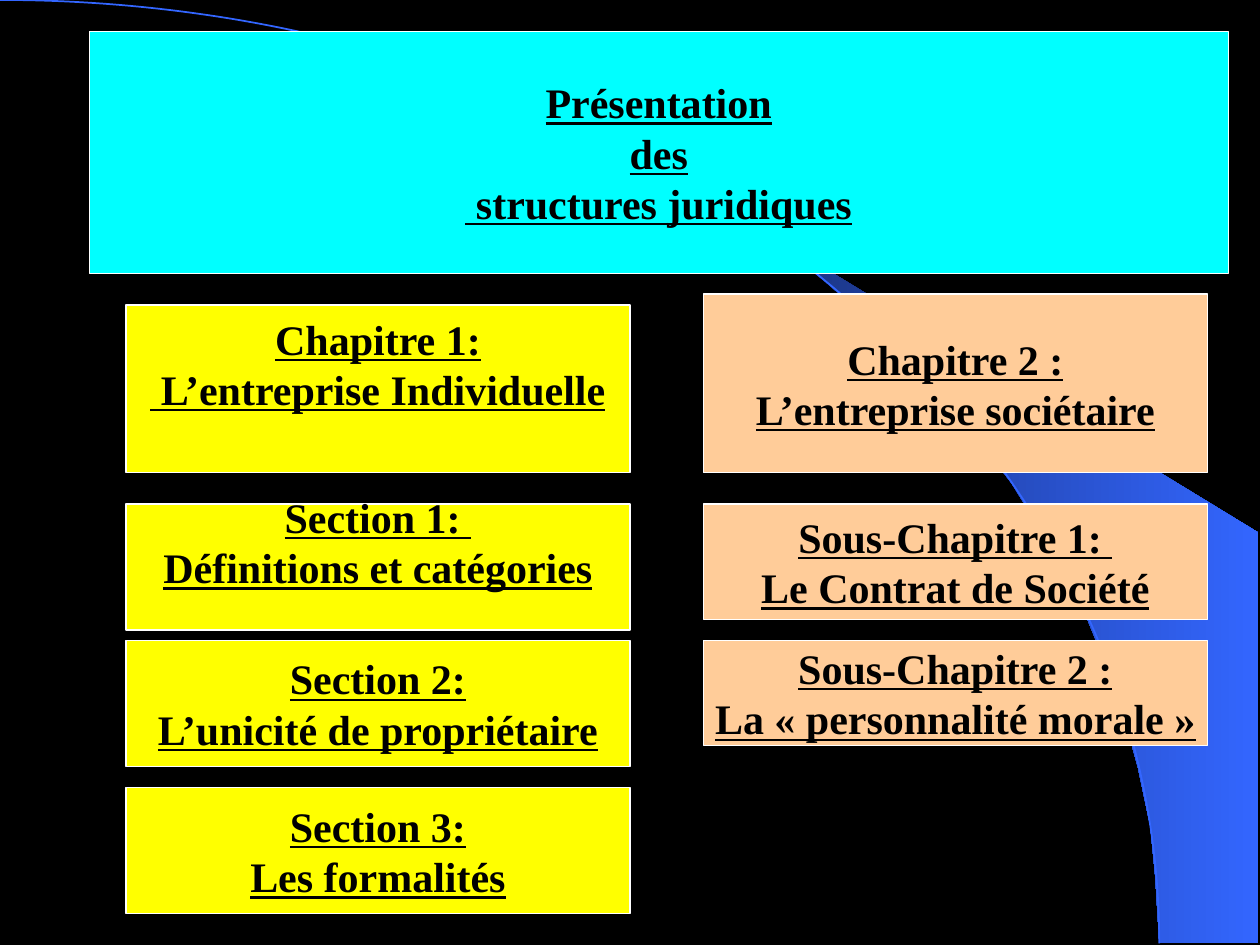
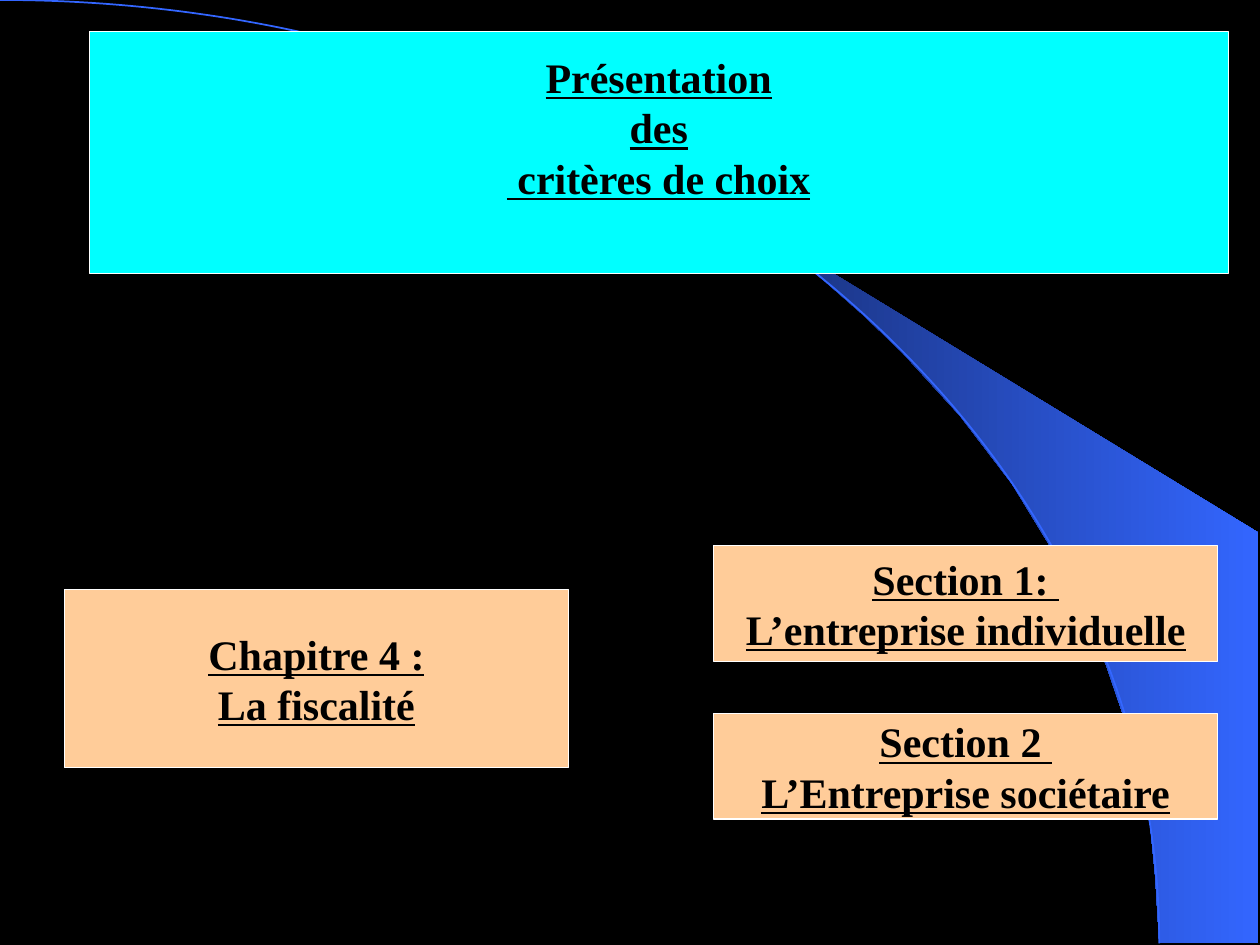
"""Build two slides that outline legal structures and the criteria for choosing one."""
import lxml.etree
import pptx
import pptx.dml.color
import pptx.enum.shapes
import pptx.enum.text
import pptx.oxml.ns
import pptx.util

Cm = pptx.util.Cm
Pt = pptx.util.Pt

COLOURS = {
    "night": "000000",
    "text": "000000",
    "border": "FFFFFF",
    "title": "00FFFF",
    "individual": "FFFF00",
    "company": "FFCC99",
    "deep blue": "182F76",
    "blue": "3366FF",
}
FONT = {"name": "Times New Roman", "size": Pt(24), "bold": True, "underline": True}
FRAME = {
    "auto_size": pptx.enum.text.MSO_AUTO_SIZE.NONE,
    "word_wrap": False,
    "vertical_anchor": pptx.enum.text.MSO_ANCHOR.MIDDLE,
    "margin_left": Cm(0.25),
    "margin_right": Cm(0.25),
    "margin_top": Cm(0.13),
    "margin_bottom": Cm(0.13),
}
ARC_WIDTH, ARC_HEIGHT = 23.37, 19.02
ARC_CONTROLS = [(12.9, 0), (ARC_WIDTH, 8.51), (ARC_WIDTH, ARC_HEIGHT)]
WEDGE = [
    (23.37, 19.0), (25.37, 19.02), (25.37, 10.74), (14.96, 4.39), (15.85, 5.05),
    (16.59, 5.64), (17.4, 6.35), (18.19, 7.11), (19.35, 8.38), (20.4, 9.75),
    (21.13, 10.95), (21.79, 12.17), (22.3, 13.41), (22.68, 14.53), (22.94, 15.47),
    (23.19, 16.66), (23.29, 17.68),
]
BOX_WIDTH = 10.16
LINE_HEIGHT = 1.02


def colour(name):
    """Return the named palette colour."""
    return pptx.dml.color.RGBColor.from_string(COLOURS[name])


class Outline:
    """Hold the shared style and the current slide."""

    def __init__(self):
        """Start a deck with a dark layout."""
        self.deck = pptx.Presentation()
        self.deck.slide_width, self.deck.slide_height = Cm(25.4), Cm(19.05)
        self.layout = self.deck.slide_layouts[5]
        self.layout.background.fill.solid()
        self.layout.background.fill.fore_color.rgb = colour("night")
        for holder in list(self.layout.placeholders)[1:]:
            self.layout.shapes.element.remove(holder.element)
        self.page = None

    def add_page(self, lines, lift=0):
        """Add a slide with its title band."""
        self.page = self.deck.slides.add_slide(self.layout)
        title = self.page.shapes.title
        title.left, title.top, title.width, title.height = Cm(1.8), Cm(0.63), Cm(22.96), Cm(4.88)
        self.dress(title, "title", lines, lift)

    def add_box(self, left, top, height, fill, lines, lift=0):
        """Add a filled rectangle with centred text."""
        box = self.page.shapes.add_shape(
            pptx.enum.shapes.MSO_SHAPE.RECTANGLE, Cm(left), Cm(top), Cm(BOX_WIDTH), Cm(height)
        )
        self.dress(box, fill, lines, lift)

    def dress(self, box, fill, lines, lift):
        """Fill, outline and label a box, raising its text by half of lift."""
        box.shadow.inherit = False
        box.fill.solid()
        box.fill.fore_color.rgb = colour(fill)
        box.line.color.rgb = colour("border")
        box.line.width = Pt(0.75)
        frame = box.text_frame
        for key, value in FRAME.items():
            setattr(frame, key, value)
        frame.margin_bottom += Cm(lift)
        for index, line in enumerate(lines):
            para = frame.add_paragraph() if index else frame.paragraphs[0]
            para.alignment = pptx.enum.text.PP_ALIGN.CENTER
            span = para.add_run()
            span.text = line
            for key, value in FONT.items():
                setattr(span.font, key, value)
            span.font.color.rgb = colour("text")

    def add_outline(self, points, close):
        """Add a freeform through points given in centimetres."""
        start, *rest = [(Cm(x), Cm(y)) for x, y in points]
        builder = self.page.shapes.build_freeform(*start)
        builder.add_line_segments(rest, close=close)
        shape = builder.convert_to_shape()
        shape.shadow.inherit = False
        return shape

    def add_arc(self):
        """Add a quarter ellipse as one curved segment."""
        arc = self.add_outline([(0, 0), (ARC_WIDTH, ARC_HEIGHT)], False)
        qn = pptx.oxml.ns.qn
        segment = next(arc.element.iter(qn("a:lnTo")))
        curve = lxml.etree.Element(qn("a:cubicBezTo"))
        for x, y in ARC_CONTROLS:
            lxml.etree.SubElement(curve, qn("a:pt"), x=str(Cm(x)), y=str(Cm(y)))
        segment.getparent().replace(segment, curve)
        arc.fill.background()
        arc.line.color.rgb = colour("blue")
        arc.line.width = Pt(1)
        return arc

    def add_wedge(self):
        """Add the shaded wedge."""
        wedge = self.add_outline(WEDGE, True)
        wedge.line.fill.background()
        wedge.fill.gradient()
        wedge.fill.gradient_angle = 0
        for stop, name in zip(wedge.fill.gradient_stops, ("deep blue", "blue")):
            stop.color.rgb = colour(name)
        return wedge

    def add_layout_art(self):
        """Draw the wedge and the arc and hand them to the layout."""
        wedge, arc = self.add_wedge(), self.add_arc()
        for shape in (arc, wedge):
            self.layout.shapes.element.insert(2, shape.element)


def main():
    """Build and save the deck."""
    outline = Outline()

    outline.add_page(["Présentation", "des", " structures juridiques"])
    outline.add_layout_art()
    individual = [
        (6.15, 3.38, ["Chapitre 1:", " L’entreprise Individuelle"], LINE_HEIGHT),
        (10.16, 2.54, ["Section 1: ", "Définitions et catégories"], LINE_HEIGHT),
        (12.91, 2.54, ["Section 2:", "L’unicité de propriétaire"], 0),
        (15.88, 2.54, ["Section 3:", "Les formalités"], 0),
    ]
    for top, height, lines, lift in individual:
        outline.add_box(2.54, top, height, "individual", lines, lift)
    company = [
        (5.93, 3.6, ["Chapitre 2 :", "L’entreprise sociétaire"]),
        (12.91, 2.12, ["Sous-Chapitre 2 :", "La « personnalité morale »"]),
        (10.16, 2.33, ["Sous-Chapitre 1: ", "Le Contrat de Société"]),
    ]
    for top, height, lines in company:
        outline.add_box(14.18, top, height, "company", lines)

    outline.add_page(["Présentation", "des", " critères de choix"], LINE_HEIGHT)
    taxation = [
        (1.3, 11.88, 3.6, ["Chapitre 4 :", "La fiscalité"]),
        (14.39, 14.39, 2.12, ["Section 2 ", "L’Entreprise sociétaire"]),
        (14.39, 11.0, 2.33, ["Section 1: ", "L’entreprise individuelle"]),
    ]
    for left, top, height, lines in taxation:
        outline.add_box(left, top, height, "company", lines)

    outline.deck.save("out.pptx")


if __name__ == "__main__":
    main()
